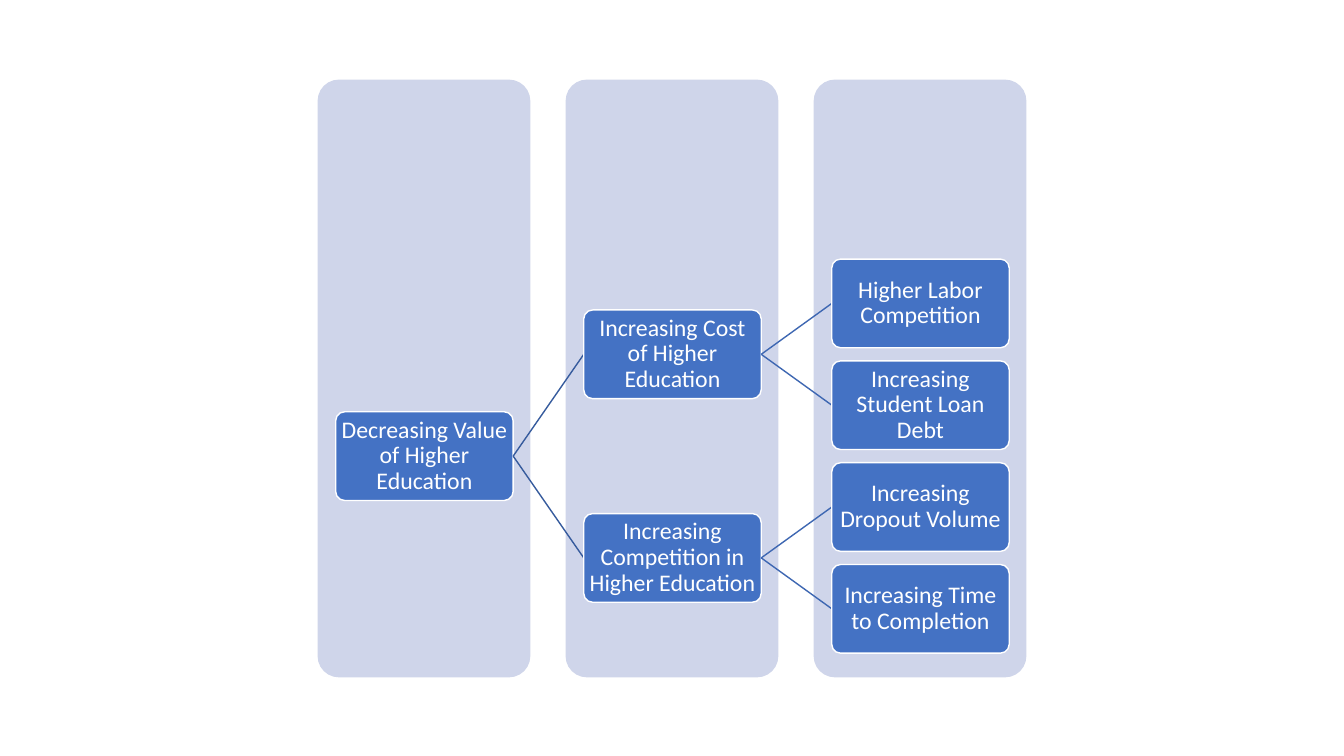
from dataclasses import dataclass

from lxml import etree
from pptx import Presentation
from pptx.dml.color import RGBColor
from pptx.enum.shapes import MSO_CONNECTOR, MSO_SHAPE
from pptx.enum.text import MSO_ANCHOR, PP_ALIGN
from pptx.oxml.ns import qn
from pptx.shapes.autoshape import Shape
from pptx.slide import Slide
from pptx.util import Inches, Pt

ROUNDED = MSO_SHAPE.ROUNDED_RECTANGLE
STRAIGHT = MSO_CONNECTOR.STRAIGHT
MIDDLE = MSO_ANCHOR.MIDDLE
CENTER = PP_ALIGN.CENTER


@dataclass(frozen=True)
class Theme:
    font: str = "Calibri"
    size: Pt = Pt(17)
    line_width: Pt = Pt(1)
    text: RGBColor = RGBColor(0xFF, 0xFF, 0xFF)
    band: RGBColor = RGBColor(0xCF, 0xD5, 0xEA)
    box: RGBColor = RGBColor(0x44, 0x72, 0xC4)
    # One link colour for each level a link starts from
    links: tuple[RGBColor, ...] = (
        RGBColor(0x36, 0x5B, 0x9D),
        RGBColor(0x3E, 0x67, 0xB2),
    )


@dataclass(frozen=True)
class Node:
    label: str
    row: float
    children: tuple["Node", ...] = ()


THEME = Theme()

LEVELS = 3
COLUMN_PITCH = 2.46
BAND_LEFT, BAND_TOP, BAND_W, BAND_H = 3.15, 0.79, 2.11, 5.93
BOX_LEFT, BOX_W, BOX_H = 3.33, 1.76, 0.88
FIRST_ROW_Y, ROW_PITCH = 3.01, 1.01

TREE = Node("Decreasing Value of Higher Education", 1.5, (
    Node("Increasing Cost of Higher Education", 0.5, (
        Node("Higher Labor Competition", 0),
        Node("Increasing Student Loan Debt", 1),
    )),
    Node("Increasing Competition in Higher Education", 2.5, (
        Node("Increasing Dropout Volume", 2),
        Node("Increasing Time to Completion", 3),
    )),
))


def box_left(level: int) -> float:
    return BOX_LEFT + level * COLUMN_PITCH


def center_y(node: Node) -> float:
    return FIRST_ROW_Y + node.row * ROW_PITCH


def add_rounded(slide: Slide, left: float, top: float, width: float,
                height: float, fill: RGBColor) -> Shape:
    s = slide.shapes.add_shape(ROUNDED, Inches(left), Inches(top),
                               Inches(width), Inches(height))
    s.adjustments[0] = 0.1
    s.shadow.inherit = False
    s.fill.solid()
    s.fill.fore_color.rgb = fill
    s.line.fill.background()
    return s


def add_box(slide: Slide, node: Node, level: int) -> None:
    s = add_rounded(slide, box_left(level), center_y(node) - BOX_H / 2,
                    BOX_W, BOX_H, THEME.box)
    s.line.color.rgb = THEME.text
    s.line.width = THEME.line_width
    tf = s.text_frame
    tf.word_wrap = True
    tf.vertical_anchor = MIDDLE
    tf.margin_left = tf.margin_right = Inches(0.01)
    tf.margin_top = tf.margin_bottom = Inches(0.01)
    p = tf.paragraphs[0]
    p.text = node.label
    p.alignment = CENTER
    p.line_spacing = 0.9
    p.font.name = THEME.font
    p.font.size = THEME.size
    p.font.color.rgb = THEME.text


def add_link(slide: Slide, parent: Node, child: Node, level: int) -> None:
    link = slide.shapes.add_connector(
        STRAIGHT,
        Inches(box_left(level) + BOX_W), Inches(center_y(parent)),
        Inches(box_left(level + 1)), Inches(center_y(child)))
    link.line.color.rgb = THEME.links[level]
    link.line.width = THEME.line_width
    etree.SubElement(link.element.spPr, qn("a:effectLst"))


def add_branch(slide: Slide, node: Node, level: int = 0) -> None:
    """Draw a node, then its links and everything below it."""
    add_box(slide, node, level)
    for child in node.children:
        add_link(slide, node, child, level)
        add_branch(slide, child, level + 1)


def main() -> None:
    prs = Presentation()
    prs.slide_width, prs.slide_height = Inches(13.33), Inches(7.5)
    slide = prs.slides.add_slide(prs.slide_layouts[6])
    for level in reversed(range(LEVELS)):
        add_rounded(slide, BAND_LEFT + level * COLUMN_PITCH, BAND_TOP,
                    BAND_W, BAND_H, THEME.band)
    add_branch(slide, TREE)
    prs.save("out.pptx")


if __name__ == "__main__":
    main()
